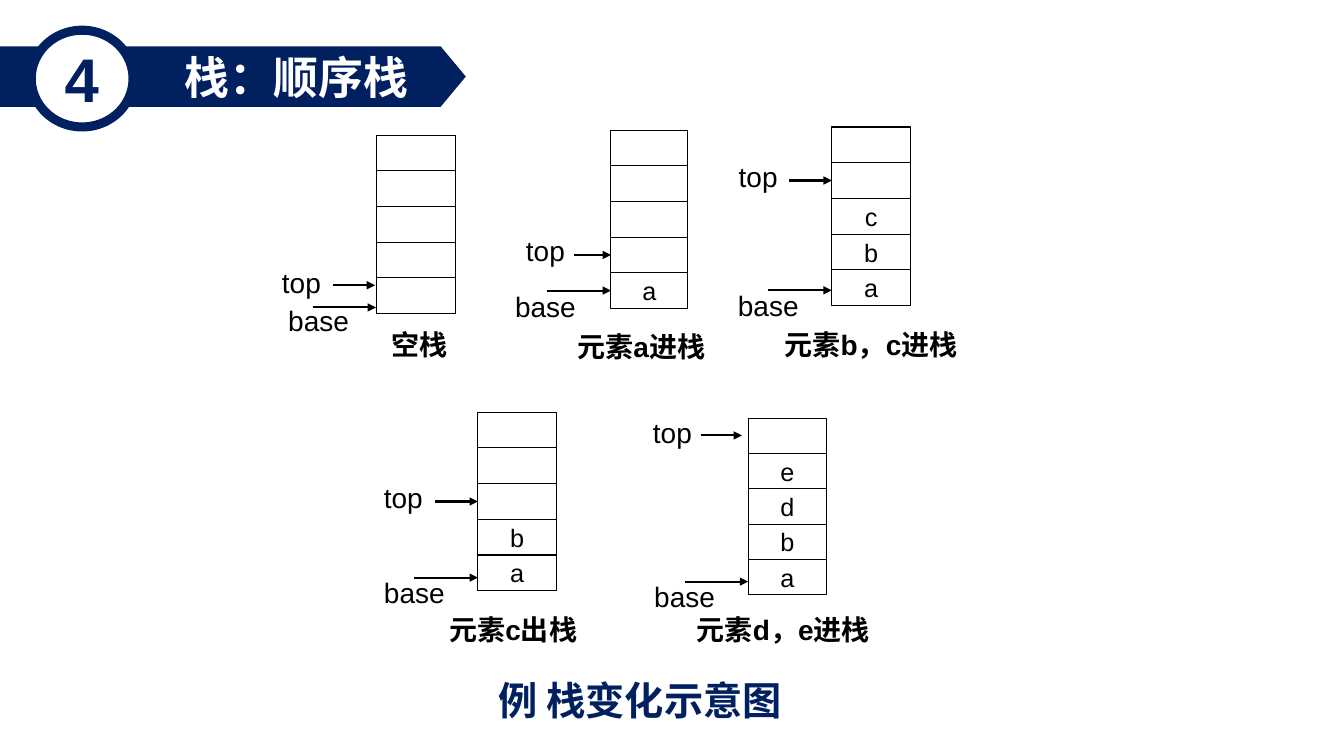
import dataclasses

import lxml.etree
import pptx
import pptx.dml.color
import pptx.enum.shapes
import pptx.enum.text
import pptx.oxml.ns
import pptx.util

Inches = pptx.util.Inches
SHAPE = pptx.enum.shapes.MSO_SHAPE
ALIGN = pptx.enum.text.PP_ALIGN
NAVY, BLACK, WHITE = "002060", "000000", "FFFFFF"
BASE_ARROW = 0.63
JOIN_WITHIN = 0.02


@dataclasses.dataclass
class Stack:
    """Box in inches; every other length is an offset from its left, top, centre or bottom."""
    box: tuple
    items: str           # from the bottom cell upwards
    caption: str
    caption_offset: tuple  # from the middle of the bottom side
    top_arrow: tuple     # start and end left of the box, and y below its top
    top_label: float     # label centre left of the arrow start
    base_y: float
    base_label: tuple    # label centre left of the box, and below the arrow


STACKS = [
    Stack((3.73, 1.34, 0.79, 1.77), "", "空栈", (0.04, 0.31),
          (0.43, 0.01, 1.49), 0.31, 1.71, (0.57, 0.13)),
    Stack((6.06, 1.29, 0.76, 1.77), "a", "元素a进栈", (-0.08, 0.38),
          (0.37, 0, 1.22), 0.28, 1.6, (0.65, 0.15)),
    Stack((8.25, 1.26, 0.78, 1.77), "abc", "元素b，c进栈", (0, 0.39),
          (0.42, 0, 0.52), 0.31, 1.62, (0.63, 0.15)),
    Stack((4.74, 4.09, 0.78, 1.77), "ab", "元素c出栈", (-0.04, 0.38),
          (0.43, 0.01, 0.87), 0.31, 1.64, (0.63, 0.15)),
    Stack((7.42, 4.15, 0.78, 1.75), "abde", "元素d，e进栈", (-0.04, 0.34),
          (0.47, 0.06, 0.17), 0.28, 1.62, (0.63, 0.15)),
]


def rgb(value):
    return pptx.dml.color.RGBColor.from_string(value)


def write(sp, text, size, color=BLACK, bold=False, font="Arial",
          align=ALIGN.CENTER, wrap=False):
    tf = sp.text_frame
    frame = {"word_wrap": wrap, "vertical_anchor": pptx.enum.text.MSO_ANCHOR.MIDDLE,
             "margin_left": 0, "margin_right": 0}
    for name, value in frame.items():
        setattr(tf, name, value)
    p = tf.paragraphs[0]
    p.alignment = align
    r = p.add_run()
    r.text = text
    style = {"size": pptx.util.Pt(size), "bold": bold, "name": font}
    for name, value in style.items():
        setattr(r.font, name, value)
    r.font.color.rgb = rgb(color)


def add_label(shapes, cx, cy, w, h, text, size, **style):
    """Text box centred on a point."""
    tb = shapes.add_textbox(*map(Inches, (cx - w / 2, cy - h / 2, w, h)))
    write(tb, text, size, **style)


def add_shape(shapes, kind, box, fill=None, line=None, width=0.75):
    sp = shapes.add_shape(kind, *map(Inches, box))
    sp.shadow.inherit = False
    if fill:
        sp.fill.solid()
        sp.fill.fore_color.rgb = rgb(fill)
    else:
        sp.fill.background()
    if line:
        sp.line.color.rgb = rgb(line)
        sp.line.width = pptx.util.Pt(width)
    else:
        sp.line.fill.background()
    return sp


def add_arrow(shapes, x0, x1, y, cells):
    """Horizontal arrow, joined to the cell whose left middle it reaches."""
    reached = None
    for cell in cells:
        middle = (cell.top + cell.height / 2) / Inches(1)
        if abs(middle - y) < JOIN_WITHIN and abs(cell.left / Inches(1) - x1) < JOIN_WITHIN:
            reached, y = cell, middle
    c = shapes.add_connector(pptx.enum.shapes.MSO_CONNECTOR.STRAIGHT,
                             *map(Inches, (x0, y, x1, y)))
    if reached is not None:
        c.end_connect(reached, 1)
    c.line.color.rgb = rgb(BLACK)
    c.line.width = pptx.util.Pt(1.5)
    qn = pptx.oxml.ns.qn
    lxml.etree.SubElement(c.line._get_or_add_ln(), qn("a:tailEnd"), type="triangle")
    lxml.etree.SubElement(c._element.spPr, qn("a:effectLst"))


def draw_stack(slide, stack):
    shapes = slide.shapes.add_group_shape().shapes
    x, y, w, h = stack.box
    cell_h = h / 5
    cells = []
    for row, item in enumerate(stack.items.ljust(5)):
        cell_box = (x, y + h - (row + 1) * cell_h, w, cell_h)
        cell = add_shape(shapes, SHAPE.RECTANGLE, cell_box, line=BLACK)
        if item.strip():
            write(cell, item, 18)
        cells.append(cell)

    start, end, top_y = stack.top_arrow
    add_arrow(shapes, x - start, x - end, y + top_y, cells)
    add_label(shapes, x - start - stack.top_label, y + top_y - 0.03, 0.55, 0.39, "top", 20)

    base_y = y + stack.base_y
    add_arrow(shapes, x - BASE_ARROW, x, base_y, cells)
    dx, dy = stack.base_label
    add_label(shapes, x - dx, base_y + dy, 0.87, 0.39, "base", 20)

    dx, dy = stack.caption_offset
    add_label(shapes, x + w / 2 + dx, y + h + dy, 2.2, 0.43, stack.caption, 20, bold=True)


def draw_header(slide, x, y, w, h):
    shapes = slide.shapes.add_group_shape().shapes
    banner = add_shape(shapes, SHAPE.PENTAGON, (x, y, w, h), fill=NAVY)
    banner.adjustments[0] = 0.25 / h
    add_shape(shapes, SHAPE.OVAL, (x + 0.31, y - 0.16, 1.01, 0.96), WHITE, NAVY, 6.5)
    add_label(shapes, x + 0.81, y + 0.31, 0.55, 0.84, "4", 44, color=NAVY, bold=True)

    title = slide.shapes.title
    place = {"left": x + 1.55, "top": y - 0.02, "width": 2.78, "height": 0.64}
    for name, value in place.items():
        setattr(title, name, Inches(value))
    write(title, "栈：顺序栈", 32, color=WHITE, bold=True, wrap=True)
    slide.shapes._spTree.append(title._element)  # in front of the banner


def main():
    prs = pptx.Presentation()
    prs.slide_width, prs.slide_height = Inches(13.33), Inches(7.5)
    slide = prs.slides.add_slide(prs.slide_layouts[5])
    for stack in STACKS:
        draw_stack(slide, stack)
    draw_header(slide, 0, 0.46, 4.62, 0.6)
    add_label(slide.shapes, 6.37, 6.94, 2.85, 0.57, "例 栈变化示意图", 28, color=NAVY,
              bold=True, font="Times New Roman", align=ALIGN.LEFT)
    prs.save("out.pptx")


if __name__ == "__main__":
    main()
